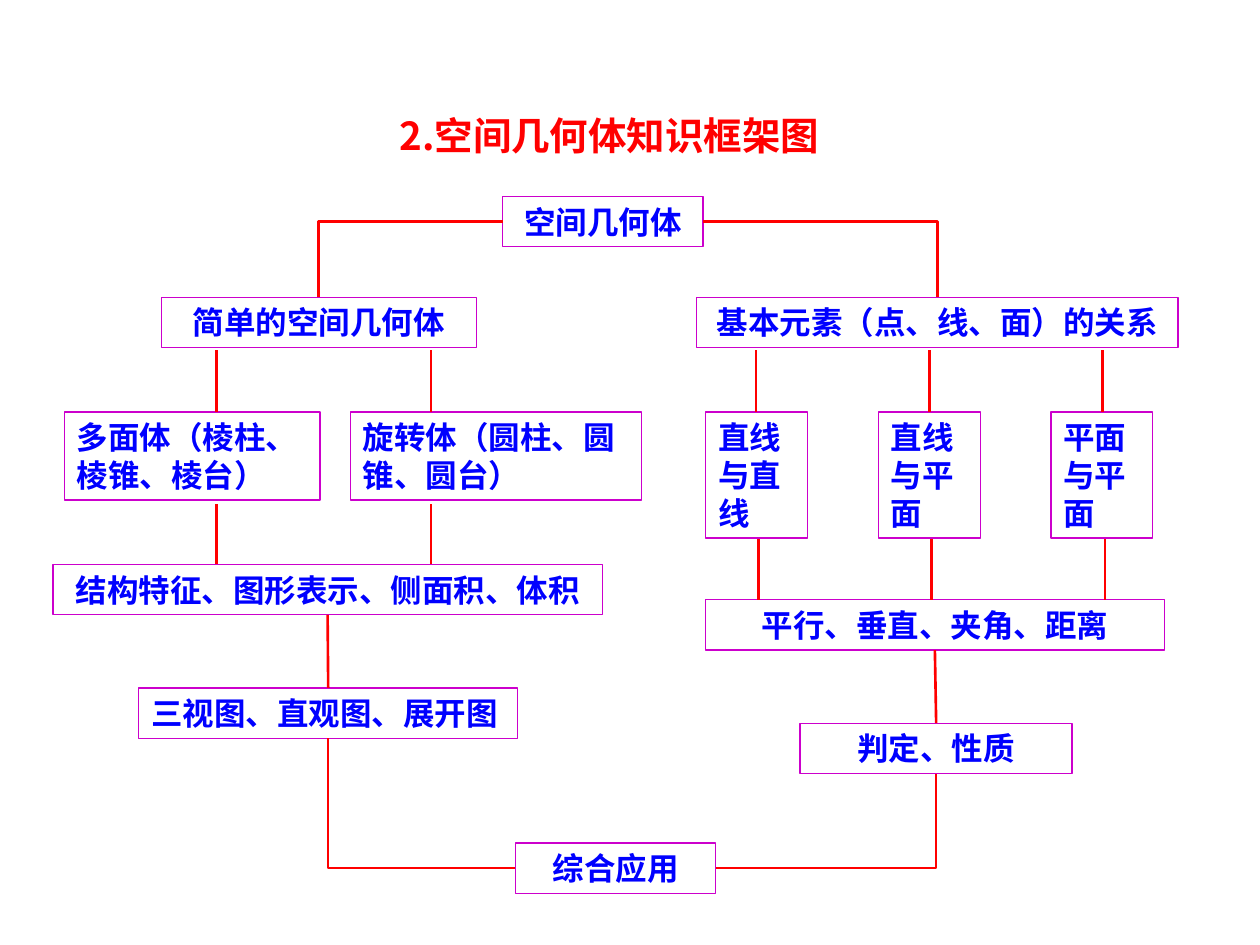
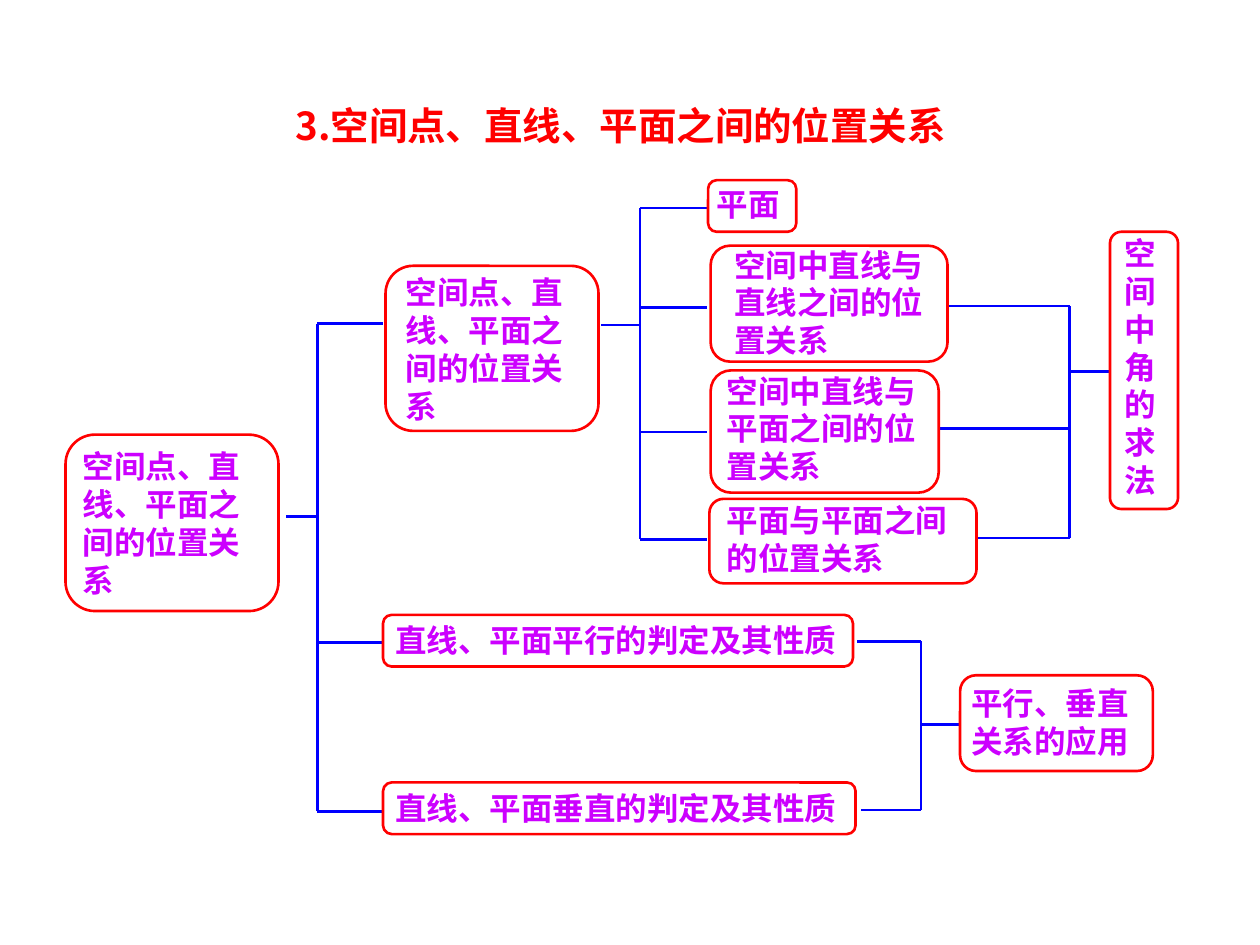
from dataclasses import dataclass
from lxml.etree import SubElement
from pptx import Presentation
from pptx.dml.color import RGBColor as Rgb
from pptx.enum.shapes import MSO_CONNECTOR as Wire, MSO_SHAPE as Form
from pptx.enum.text import MSO_ANCHOR as Anchor, MSO_AUTO_SIZE as Fit, PP_ALIGN as Align
from pptx.oxml.ns import qn
from pptx.util import Inches, Pt


@dataclass(frozen=True)
class Theme:
    """Colours, type faces, type sizes and line widths of the deck."""
    red: Rgb = Rgb(0xFF, 0, 0)
    blue: Rgb = Rgb(0, 0, 0xFF)
    plum: Rgb = Rgb(0xCC, 0, 0xCC)
    violet: Rgb = Rgb(0xCC, 0, 0xFF)
    white: Rgb = Rgb(0xFF, 0xFF, 0xFF)
    face: str = "Noto Sans CJK SC"
    latin: str = "Arial"
    head: Pt = Pt(22)
    body: Pt = Pt(18)
    thin: Pt = Pt(0.75)
    thick: Pt = Pt(1.5)


THEME = Theme()
WIDTH, HEIGHT = Inches(10), Inches(7.5)
COL, ROW = WIDTH / 100, HEIGHT / 75
LEFT, RIGHT = 1, 3
TOP, BOTTOM = 0, 2


@dataclass(frozen=True)
class Box:
    """A rectangle counted in columns and rows of the slide grid."""
    x: float
    y: float
    w: float
    h: float

    def cell(self, x, y, w, h):
        """Return a box placed from this box's corner."""
        return Box(self.x + x, self.y + y, w, h)

    def spot(self, x, y):
        """Return the slide position of a point in this box."""
        return round((self.x + x) * COL), round((self.y + y) * ROW)

    def rect(self):
        """Return left, top, width and height on the slide."""
        return *self.spot(0, 0), round(self.w * COL), round(self.h * ROW)


def write(shape, text, color, size=THEME.body, align=Align.LEFT, face=THEME.face):
    """Fill a shape with bold text that it grows to fit."""
    frame = shape.text_frame
    frame.word_wrap = True
    frame.auto_size = Fit.SHAPE_TO_FIT_TEXT
    frame.vertical_anchor = Anchor.TOP
    frame.text = text
    for para in frame.paragraphs:
        para.alignment = align
        font = para.font
        font.name, font.size, font.bold = face, size, True
        font.color.rgb = color
        SubElement(font._element, qn("a:ea"), typeface=THEME.face)


def start(deck, text, box):
    """Add a slide with its title."""
    slide = deck.slides.add_slide(deck.slide_layouts[5])
    title = slide.shapes.title
    title.left, title.top, title.width, title.height = box.rect()
    write(title, text, THEME.red, THEME.head, Align.CENTER)
    title.text_frame.paragraphs[0].line_spacing = 1.4
    return slide


def wire(slide, color, begin=(0, 0), end=(0, 0), kind=Wire.STRAIGHT):
    """Draw a plain connector."""
    line = slide.shapes.add_connector(kind, *begin, *end)
    line.line.color.rgb = color
    line.line.width = THEME.thick
    SubElement(line._element.spPr, qn("a:effectLst"))
    return line


def link(slide, first, side, last, edge, bent=False):
    """Glue two nodes together with a straight or one-bend connector."""
    line = wire(slide, THEME.red, kind=Wire.ELBOW if bent else Wire.STRAIGHT)
    line.begin_connect(first, side)
    line.end_connect(last, edge)
    if bent:
        line._element.spPr.find(qn("a:prstGeom")).set("prst", "bentConnector2")


def drops(slide, box, cols, top, foot):
    """Draw vertical wires at the given columns."""
    for col in cols:
        wire(slide, THEME.red, box.spot(col, top), box.spot(col, foot))


def node(slide, box, text, align=Align.CENTER, face=THEME.face):
    """Add an outlined text box."""
    shape = slide.shapes.add_textbox(*box.rect())
    shape.line.color.rgb = THEME.plum
    shape.line.width = THEME.thin
    write(shape, text, THEME.blue, align=align, face=face)
    return shape


def solids(slide, box):
    """Place the branch of simple solids and return its two ends."""
    head = node(slide, box.cell(8.6, 0, 25, 4), "简单的空间几何体")
    node(slide, box.cell(0.9, 9.1, 20.3, 7), "多面体（棱柱、棱锥、棱台）", Align.LEFT)
    node(slide, box.cell(23.6, 9.1, 23.1, 7), "旋转体（圆柱、圆锥、圆台）", Align.LEFT)
    traits = node(slide, box.cell(0, 21.2, 43.6, 4), "结构特征、图形表示、侧面积、体积")
    views = node(slide, box.cell(6.8, 31, 30.1, 4), "三视图、直观图、展开图", Align.LEFT)
    for top, foot in ((4.2, 9.1), (16.4, 21.2)):
        drops(slide, box, (13, 30), top, foot)
    link(slide, traits, BOTTOM, views, TOP)
    return head, views


def basics(slide, box):
    """Place the branch of points, lines and planes and return its two ends."""
    head = node(slide, box.cell(0, 0, 38.2, 4), "基本元素（点、线、面）的关系")
    pairs = (("直线与直线", THEME.face), ("直线与平面", THEME.latin), ("平面与平面", THEME.latin))
    for i, (text, face) in enumerate(pairs):
        node(slide, box.cell(0.7 + 13.7 * i, 9.1, 8.1, 10), text, Align.LEFT, face)
    traits = node(slide, box.cell(0.7, 24, 36.4, 4), "平行、垂直、夹角、距离", face=THEME.latin)
    rules = node(slide, box.cell(8.2, 33.8, 21.6, 4), "判定、性质", face=THEME.latin)
    for left, top, foot in ((4.7, 4.2, 9.1), (4.9, 19.2, 24)):
        drops(slide, box, [left + 13.75 * i for i in range(3)], top, foot)
    link(slide, traits, BOTTOM, rules, TOP)
    return head, rules


def outline(deck):
    """Build the knowledge chart of solids."""
    slide = start(deck, "2.空间几何体知识框架图", Box(12.4, 6.9, 71.9, 6.2))
    root = node(slide, Box(39.9, 15.6, 15.9, 4), "空间几何体")
    goal = node(slide, Box(40.9, 66.9, 15.9, 4), "综合应用", face=THEME.latin)
    sides = (LEFT, solids(slide, Box(4.2, 23.6, 46.7, 35))), (
        RIGHT, basics(slide, Box(55.3, 23.6, 38.2, 37.8)))
    for side, (head, tail) in sides:
        link(slide, root, side, head, TOP, True)
        link(slide, goal, side, tail, BOTTOM, True)


def card(slide, frame, label, text):
    """Add a rounded frame grouped with its text."""
    shapes = slide.shapes.add_group_shape().shapes
    shape = shapes.add_shape(Form.ROUNDED_RECTANGLE, *frame.rect())
    shape.shadow.inherit = False
    shape.fill.solid()
    shape.fill.fore_color.rgb = THEME.white
    shape.line.color.rgb = THEME.red
    shape.line.width = THEME.thick
    write(shapes.add_textbox(*label.rect()), text, THEME.violet)


def fork(slide, box, spine, stem, tips):
    """Draw a spine with a stem on one side and tips on the other."""
    rows = [row for _, row in tips]
    wire(slide, THEME.blue, box.spot(spine, min(rows)), box.spot(spine, max(rows)))
    for col, row in (stem, *tips):
        wire(slide, THEME.blue, box.spot(spine, row), box.spot(col, row))


def trunk(slide, box):
    """Place the root card and its three-way fork."""
    fork(slide, box, 20.2, (17.7, 20), [(25.4, row) for row in (4.7, 30, 43.4)])
    card(slide, box.cell(0.2, 13.5, 16.9, 14), box.cell(0.6, 14, 15.9, 13),
         "空间点、直线、平面之间的位置关系")


def places(slide, box):
    """Place the cards on relative position and on angles."""
    fork(slide, box, 20.8, (17.7, 11.8), [(26.1, row) for row in (2.5, 10.4, 20.3, 28.8)])
    fork(slide, box, 54.9, (58, 15.5), [(45.2, 10.3), (44.5, 20), (47.6, 28.7)])
    cards = (
        ((0.6, 7.1, 16.9, 13.1), (1.2, 7.2, 14.8, 13), "空间点、直线、平面之间的位置关系"),
        ((26.2, 0.3, 7, 4.1), (25.9, 0.2, 9.8, 4), "平面"),
        ((26.4, 5.5, 18.8, 9.2), (27.3, 5, 18.5, 10), "空间中直线与直线之间的位置关系"),
        ((26.4, 15.4, 18.1, 9.7), (26.7, 15, 18.5, 10), "空间中直线与平面之间的位置关系"),
        ((26.3, 25.6, 21.2, 6.7), (26.7, 25.3, 19.9, 7), "平面与平面之间的位置关系"),
        ((58.1, 4.4, 5.4, 22), (58.3, 4.1, 7.7, 22), "\n".join("空间中角的求法")),
    )
    for frame, label, text in cards:
        card(slide, box.cell(*frame), box.cell(*label), text)


def proofs(slide, box):
    """Place the cards on parallel and perpendicular proofs."""
    fork(slide, box, 43.1, (46.1, 9.5), [(38, 2.9), (38.3, 16.3)])
    for row, wide, word in ((0.8, 37.3, "平行"), (14.1, 37.5, "垂直")):
        card(slide, box.cell(0.4, row, wide, 4.1), box.cell(0.4, row, 40.6, 4),
             f"直线、平面{word}的判定及其性质")
    card(slide, box.cell(46.2, 5.6, 15.3, 7.6), box.cell(46.1, 5.8, 16.8, 7),
         "平行、垂直关系的应用")


def relations(deck):
    """Build the chart of points, lines and planes."""
    slide = start(deck, "3.空间点、直线、平面之间的位置关系", Box(13.3, 6.1, 71.9, 6.2))
    trunk(slide, Box(5, 21, 26, 44))
    places(slide, Box(30, 14, 66, 33))
    proofs(slide, Box(30, 48, 63, 19))


def main():
    """Build and save the deck."""
    deck = Presentation()
    deck.slide_width, deck.slide_height = WIDTH, HEIGHT
    outline(deck)
    relations(deck)
    deck.save("out.pptx")


if __name__ == "__main__":
    main()
